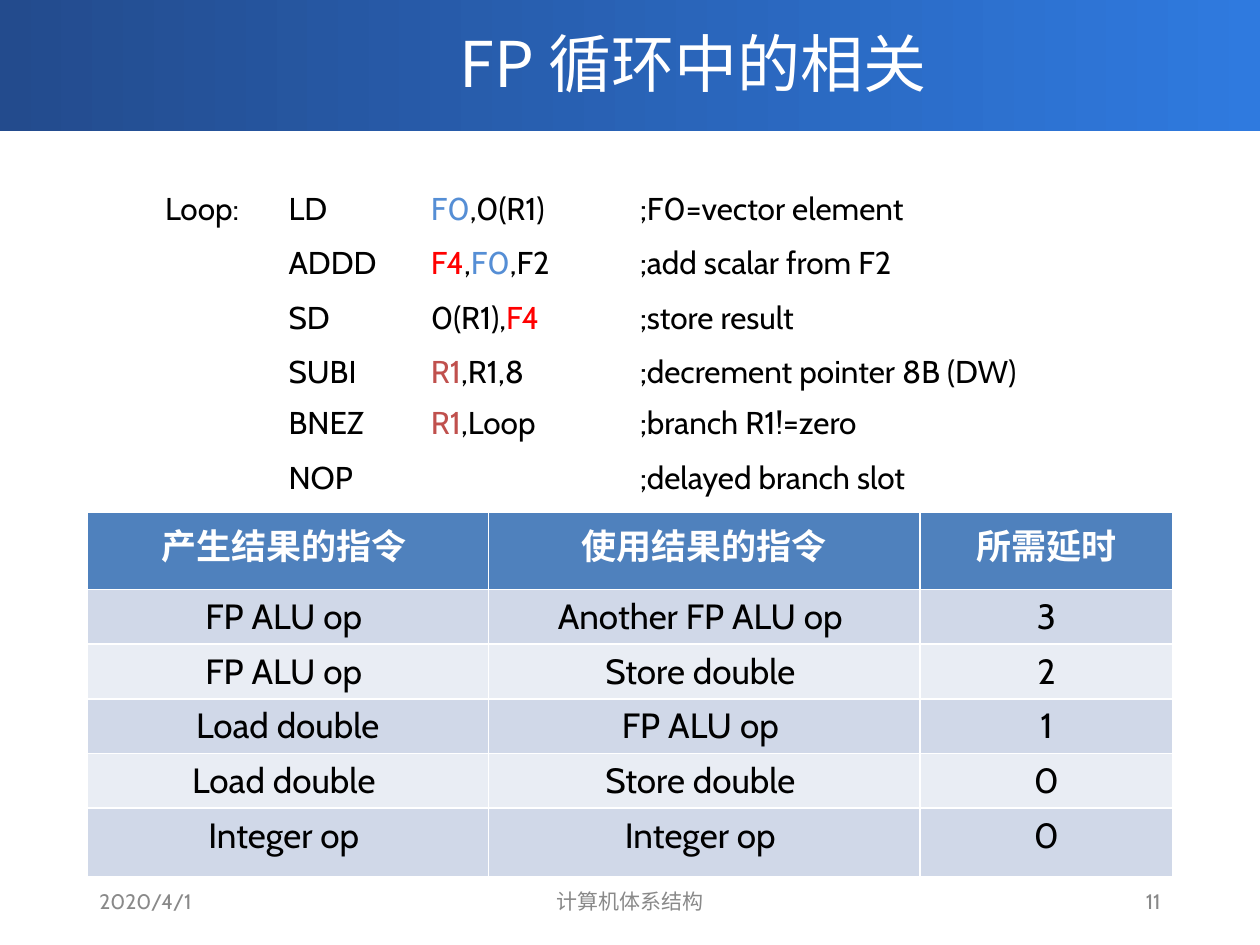
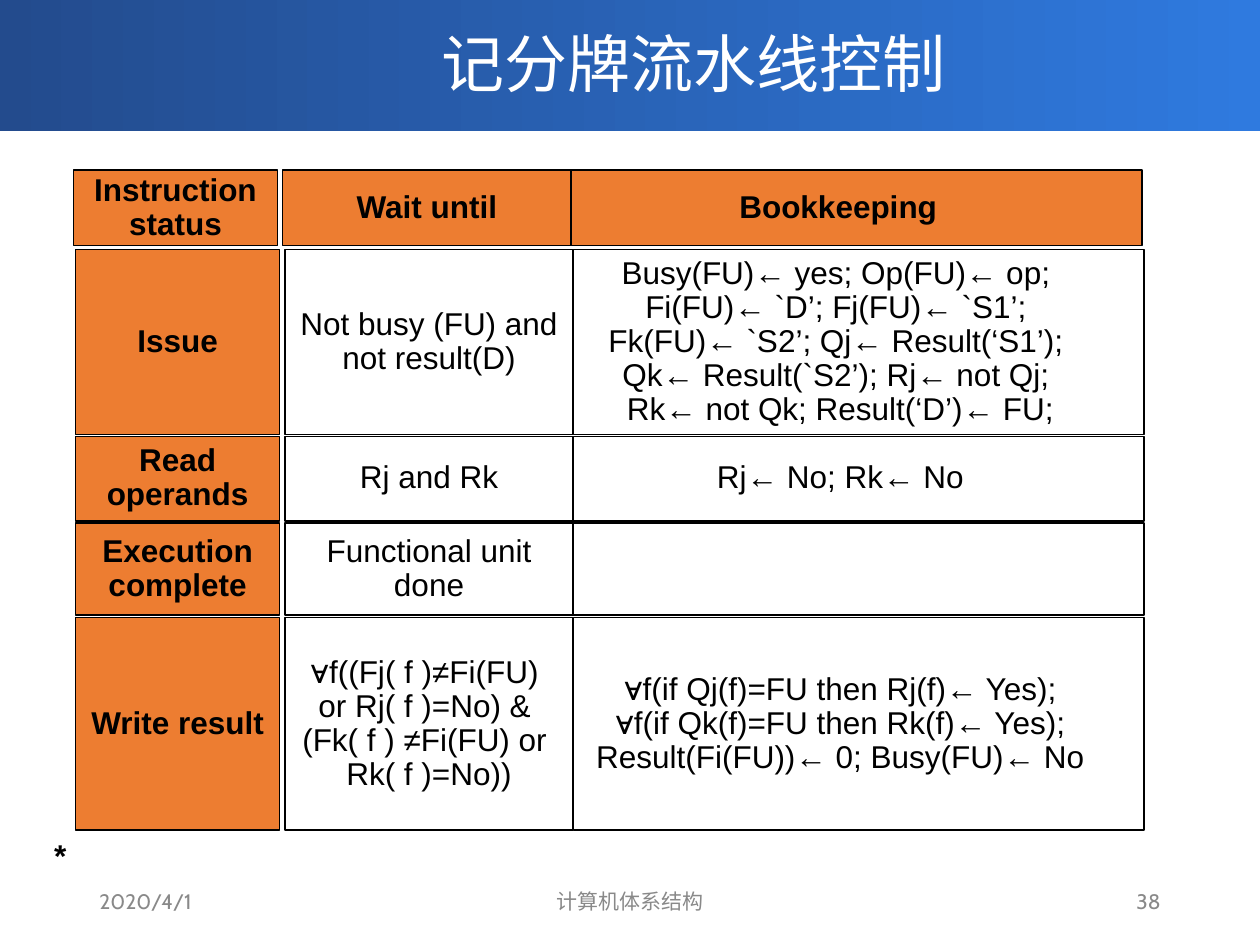
from collections import namedtuple

from lxml.etree import SubElement
from pptx import Presentation
from pptx.dml.color import RGBColor
from pptx.enum.shapes import MSO_SHAPE as Shape
from pptx.enum.text import MSO_ANCHOR as Anchor, MSO_AUTO_SIZE as AutoSize, PP_ALIGN as Align
from pptx.oxml.ns import qn
from pptx.util import Pt

COLORS = {
    "band_start": "234B8D",
    "band_end": "2F7ADF",
    "white": "FFFFFF",
    "black": "000000",
    "footer": "898989",
    "loaded": "558ED5",
    "summed": "FF0000",
    "pointer": "C0504D",
    "header": "4F81BD",
    "odd_row": "D0D8E8",
    "even_row": "E9EDF4",
    "label": "ED7D31",
}
LATIN, CHINESE, PLAIN = "Cabin", "Noto Sans CJK SC", "Arial"

Box = namedtuple("Box", "left top width height")
PAGE = Box(0, 0, 720, 540)
BAND = Box(0, -2, 720, 77)
TITLE = Box(72, 0, 648, 71.3)
FOOTER = Box(49.7, 500.4, 620.6, 28.8)
CODE = Box(87.1, 76.3, 520.5, 211.7)
DELAYS = Box(49.7, 293, 620.6, 207.4)
SCOREBOARD = Box(43.2, 97.2, 610.5, 377.3)
MARK = Box(23.8, 468, 534.2, 28.8)

CODE_COLUMNS = [70.6, 81.4, 119.5, 248.4]
CODE_HEIGHTS = [12.2, 31, 31, 31, 29.5, 31, 31]
CODE_LINES = [
    ("Loop:", "LD", [("F0", "loaded"), (",0(R1)", "black")], ";F0=vector element"),
    ("", "ADDD",
     [("F4", "summed"), (",", "black"), ("F0", "loaded"), (",F2", "black")],
     ";add scalar from F2"),
    ("", "SD", [("0(R1),", "black"), ("F4", "summed")], ";store result"),
    ("", "SUBI", [("R1", "pointer"), (",R1,8", "black")], ";decrement pointer 8B (DW)"),
    ("", "BNEZ", [("R1", "pointer"), (",Loop", "black")], ";branch R1!=zero"),
    ("", "NOP", [], ";delayed branch slot"),
]

DELAY_COLUMNS = [229.5, 246.6, 144.5]
DELAY_HEIGHTS = [43.9, 30.2, 30.2, 30.2, 30.2, 38.9]
DELAY_ROWS = [
    ("产生结果的指令 ", "使用结果的指令", "所需延时"),
    ("FP ALU op ", "Another FP ALU op ", "3"),
    ("FP ALU op ", "Store double ", "2"),
    ("Load double", "FP ALU op ", "1"),
    ("Load double ", "Store double ", "0"),
    ("Integer op ", "Integer op ", "0"),
]

STAGE_COLUMNS = [(0, 116.6), (119.5, 164.9), (263.5, 347)]
STAGE_ROWS = [(0, 43.2), (45.4, 105.8), (152.3, 48.2), (201.6, 52.6), (255.6, 121.7)]
STAGES = [
    ("Instruction status", "Wait until", "Bookkeeping"),
    ("Issue", "Not busy (FU) and not result(D)",
     "Busy(FU)← yes; Op(FU)← op; \nFi(FU)← `D’; Fj(FU)← `S1’; \n"
     "Fk(FU)← `S2’; Qj← Result(‘S1’); \nQk← Result(`S2’); Rj← not Qj; \n"
     "Rk← not Qk; Result(‘D’)← FU;"),
    ("Read operands", "Rj and Rk", "Rj← No; Rk← No"),
    ("Execution complete", "Functional unit done", ""),
    ("Write result",
     "∀f((Fj( f )≠Fi(FU) \nor Rj( f )=No) & \n(Fk( f ) ≠Fi(FU) or \nRk( f )=No))",
     "∀f(if Qj(f)=FU then Rj(f)← Yes);\n∀f(if Qk(f)=FU then Rk(f)← Yes); "
     "Result(Fi(FU))← 0; Busy(FU)← No"),
]
HEADER_SHIFT = 1.2


def rgb(color):
    return RGBColor.from_string(COLORS[color])


def lengths(box):
    return [Pt(value) for value in box]


def add_run(paragraph, text, size, color="black", font=LATIN, bold=False):
    run = paragraph.add_run()
    run.text = text
    run.font.size = Pt(size)
    run.font.bold = bold
    run.font.name = font
    run.font.color.rgb = rgb(color)
    SubElement(run.font._element, qn("a:ea")).set("typeface", CHINESE)


def add_label(slide, box, text, size, align, **style):
    frame = slide.shapes.add_textbox(*lengths(box)).text_frame
    frame.word_wrap = True
    frame.vertical_anchor = Anchor.MIDDLE
    frame.paragraphs[0].alignment = align
    add_run(frame.paragraphs[0], text, size, **style)
    return frame


def add_grid(slide, box, columns, heights):
    grid = slide.shapes.add_table(len(heights), len(columns), *lengths(box)).table
    for column, width in zip(grid.columns, columns):
        column.width = Pt(width)
    for row, height in zip(grid.rows, heights):
        row.height = Pt(height)
    return grid


def add_band(slide, box):
    band = slide.shapes.add_shape(Shape.RECTANGLE, *lengths(box))
    band.shadow.inherit = False
    band.line.fill.background()
    band.fill.gradient()
    band.fill.gradient_angle = 0
    for stop, color in zip(band.fill.gradient_stops, ("band_start", "band_end")):
        stop.color.rgb = rgb(color)
    return band


def add_title(slide, box, text):
    title = slide.shapes.title
    title.left, title.top, title.width, title.height = lengths(box)
    frame = title.text_frame
    frame.auto_size = AutoSize.NONE
    frame.vertical_anchor = Anchor.MIDDLE
    frame.paragraphs[0].alignment = Align.CENTER
    add_run(frame.paragraphs[0], text, 36, "white", CHINESE)
    title.element.addprevious(add_band(slide, BAND).element)


def add_footer(slide, box, number):
    parts = [
        ("2020/4/1", 0, 162, Align.LEFT),
        ("计算机体系结构", 188.6, 243.4, Align.CENTER),
        (number, box.width - 162, 162, Align.RIGHT),
    ]
    for text, offset, width, align in parts:
        part_box = Box(box.left + offset, box.top, width, box.height)
        add_label(slide, part_box, text, 12, align, color="footer")


def add_code(slide, box):
    code = add_grid(slide, box, CODE_COLUMNS, CODE_HEIGHTS)
    for cell in code.iter_cells():
        cell.fill.background()
    for row, line in enumerate(CODE_LINES, 1):
        for column, content in enumerate(line):
            runs = [(content, "black")] if isinstance(content, str) else content
            paragraph = code.cell(row, column).text_frame.paragraphs[0]
            for text, color in runs:
                if text:
                    add_run(paragraph, text, 18, color)


def add_delays(slide, box):
    delays = add_grid(slide, box, DELAY_COLUMNS, DELAY_HEIGHTS)
    for row, texts in enumerate(DELAY_ROWS):
        is_header = row == 0
        fill = "header" if is_header else "odd_row" if row % 2 else "even_row"
        for column, text in enumerate(texts):
            cell = delays.cell(row, column)
            cell.fill.solid()
            cell.fill.fore_color.rgb = rgb(fill)
            paragraph = cell.text_frame.paragraphs[0]
            paragraph.alignment = Align.CENTER
            add_run(paragraph, text, 20, "white" if is_header else "black", bold=is_header)


def add_stage(slide, box, text, is_label):
    stage = slide.shapes.add_shape(Shape.RECTANGLE, *lengths(box))
    stage.shadow.inherit = False
    stage.fill.solid()
    stage.fill.fore_color.rgb = rgb("label" if is_label else "white")
    stage.line.color.rgb = rgb("black")
    stage.line.width = Pt(1)
    frame = stage.text_frame
    frame.word_wrap = True
    frame.vertical_anchor = Anchor.MIDDLE
    paragraph = frame.paragraphs[0]
    paragraph.alignment = Align.CENTER
    paragraph.line_spacing = 0.9
    for index, line in enumerate(text.split("\n") if text else []):
        if index:
            paragraph.add_line_break()
        add_run(paragraph, line, 18, font=PLAIN, bold=is_label)


def add_scoreboard(slide, box):
    for column in (0, 2, 1):
        left, width = STAGE_COLUMNS[column]
        for row, (top, height) in enumerate(STAGE_ROWS):
            shift = 0 if row else HEADER_SHIFT
            stage_box = Box(box.left + left - shift, box.top + top, width, height)
            add_stage(slide, stage_box, STAGES[row][column], row == 0 or column == 0)


def add_mark(slide, box):
    frame = add_label(slide, box, "*", 18, Align.LEFT, font=PLAIN, bold=True)
    frame.vertical_anchor = Anchor.TOP
    frame.margin_top = Pt(9.7)


def start_slide(deck, title, number):
    slide = deck.slides.add_slide(deck.slide_layouts[5])
    add_title(slide, TITLE, title)
    add_footer(slide, FOOTER, number)
    return slide


def main():
    deck = Presentation()
    deck.slide_width, deck.slide_height = Pt(PAGE.width), Pt(PAGE.height)

    loop_slide = start_slide(deck, "FP 循环中的相关", "11")
    add_code(loop_slide, CODE)
    add_delays(loop_slide, DELAYS)

    scoreboard_slide = start_slide(deck, "记分牌流水线控制", "38")
    add_scoreboard(scoreboard_slide, SCOREBOARD)
    add_mark(scoreboard_slide, MARK)

    deck.save("out.pptx")


if __name__ == "__main__":
    main()
